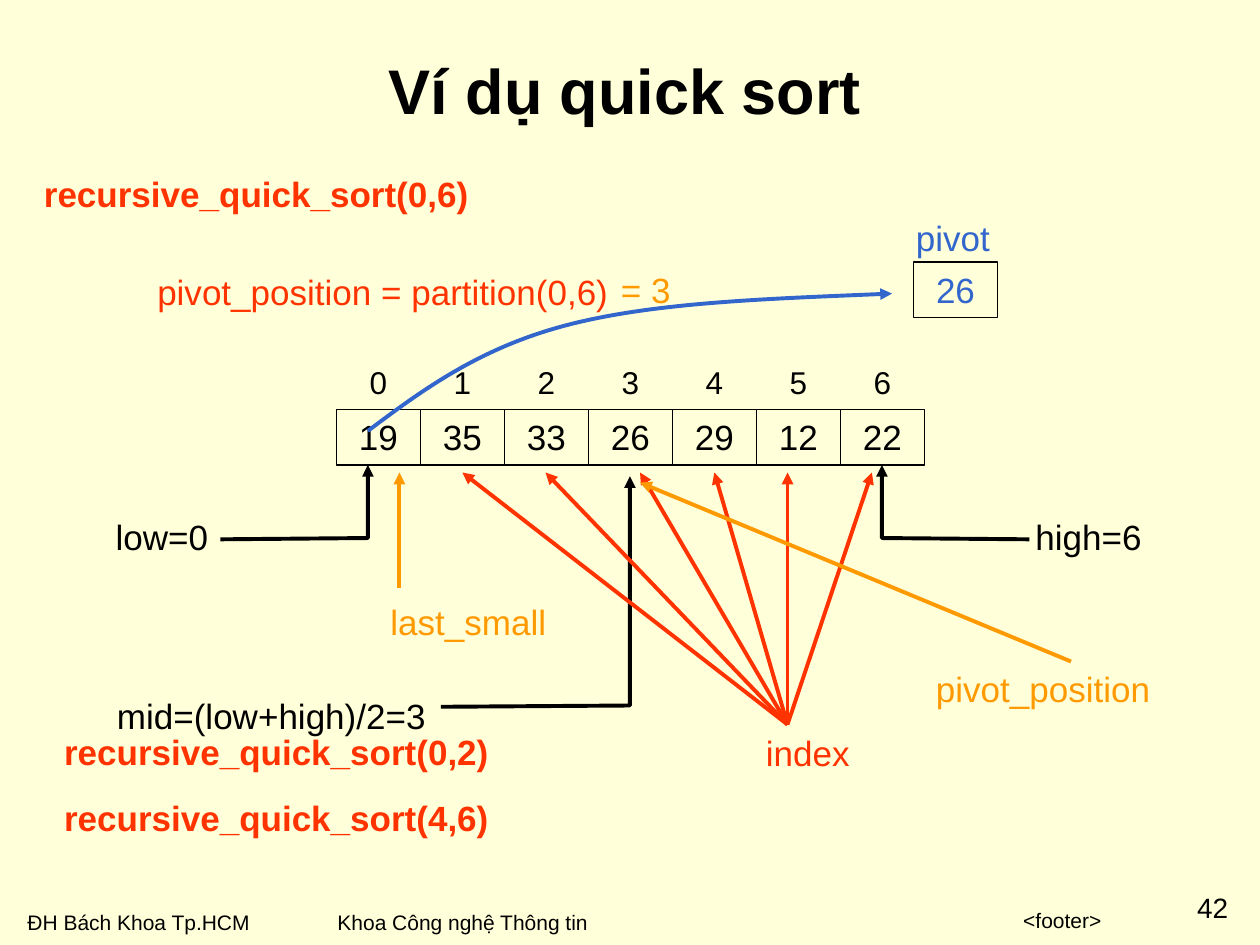
from lxml import etree
from pptx import Presentation
from pptx.dml.color import RGBColor
from pptx.enum.shapes import MSO_CONNECTOR, MSO_SHAPE
from pptx.enum.text import MSO_ANCHOR, MSO_AUTO_SIZE, PP_ALIGN
from pptx.oxml.ns import qn
from pptx.util import Inches, Pt

CREAM = RGBColor(0xFF, 0xFF, 0xD9)
BLACK = RGBColor(0, 0, 0)
RED = RGBColor(0xFF, 0x33, 0)
ORANGE = RGBColor(0xFF, 0x99, 0)
BLUE = RGBColor(0x33, 0x66, 0xCC)
LEFT, CENTER, RIGHT = PP_ALIGN.LEFT, PP_ALIGN.CENTER, PP_ALIGN.RIGHT
TOP, MIDDLE = MSO_ANCHOR.TOP, MSO_ANCHOR.MIDDLE
GROW, FIXED = MSO_AUTO_SIZE.SHAPE_TO_FIT_TEXT, MSO_AUTO_SIZE.NONE
RECT, STRAIGHT = MSO_SHAPE.RECTANGLE, MSO_CONNECTOR.STRAIGHT

CELL_W, CELL_H = 2 / 3, 0.44
ARRAY_X, ARRAY_Y, INDEX_Y = 2.67, 3.25, 2.83


class SlideBuilder:
    font = "Arial"
    arrow_width = Pt(2.25)
    cell_width = Pt(0.75)

    def __init__(self, s):
        self.s = s
        s.background.fill.solid()
        s.background.fill.fore_color.rgb = CREAM

    def fill_text(self, sp, text, size=20, color=BLACK, bold=False, align=LEFT,
                  wrap=False, anchor=TOP, auto_size=GROW, inset=(0.1, 0.05)):
        tf = sp.text_frame
        x, y = map(Inches, inset)
        frame = {"word_wrap": wrap, "auto_size": auto_size,
                 "vertical_anchor": anchor, "margin_left": x,
                 "margin_right": x, "margin_top": y, "margin_bottom": y}
        for name, value in frame.items():
            setattr(tf, name, value)
        p = tf.paragraphs[0]
        p.alignment = align
        r = p.add_run()
        r.text = text
        style = {"name": self.font, "size": Pt(size), "bold": bold}
        for name, value in style.items():
            setattr(r.font, name, value)
        r.font.color.rgb = color

    def text(self, text, x, y, w, h=CELL_H, **style):
        sp = self.s.shapes.add_textbox(*map(Inches, (x, y, w, h)))
        self.fill_text(sp, text, **style)

    def cell(self, text, x, y, color=BLACK):
        sp = self.s.shapes.add_shape(RECT, *map(Inches, (x, y, CELL_W, CELL_H)))
        sp.shadow.inherit = False
        sp.fill.background()
        sp.line.color.rgb = BLACK
        sp.line.width = self.cell_width
        self.fill_text(sp, text, color=color, align=CENTER, wrap=True)

    def style_arrow(self, sp, color):
        sp.line.color.rgb = color
        sp.line.width = self.arrow_width
        ln = sp.element.spPr.find(qn("a:ln"))
        etree.SubElement(ln, qn("a:tailEnd"), type="triangle")

    def arrow(self, start, end, color):
        sp = self.s.shapes.add_connector(STRAIGHT, *map(Inches, start + end))
        self.style_arrow(sp, color)
        etree.SubElement(sp.element.spPr, qn("a:effectLst"))

    def bent_arrow(self, points, color=BLACK):
        start, *rest = [tuple(map(Inches, point)) for point in points]
        builder = self.s.shapes.build_freeform(*start)
        builder.add_line_segments(rest, close=False)
        sp = builder.convert_to_shape()
        sp.shadow.inherit = False
        sp.fill.background()
        self.style_arrow(sp, color)
        return sp

    def curved_arrow(self, points, color):
        sp = self.bent_arrow(points, color)
        outline = next(sp.element.iter(qn("a:path")))
        segments = outline.findall(qn("a:lnTo"))
        for i in range(0, len(segments), 3):
            curve = etree.SubElement(outline, qn("a:cubicBezTo"))
            for segment in segments[i:i + 3]:
                curve.append(segment[0])
                outline.remove(segment)


def main():
    prs = Presentation()
    prs.slide_width, prs.slide_height = Inches(10), Inches(7.5)
    b = SlideBuilder(prs.slides.add_slide(prs.slide_layouts[6]))

    b.text("ĐH Bách Khoa Tp.HCM", 0.12, 7.17, 1.97, 0.3, size=12)
    b.text("<footer>", 3.17, 7.15, 5.67, 0.3, size=12, align=RIGHT, wrap=True)
    b.text("42", 9.41, 7.07, 0.43, 0.27, size=16, align=CENTER, wrap=True,
           inset=(0, 0))
    b.text("Khoa Công nghệ Thông tin", 2.58, 7.17, 2.19, 0.3, size=12)
    b.text("Ví dụ quick sort", 0.92, 0.08, 8.08, 1.25, size=36, bold=True,
           align=CENTER, wrap=True, anchor=MIDDLE, auto_size=FIXED)

    for i, value in enumerate((19, 35, 33, 26, 29, 12, 22)):
        x = ARRAY_X + i * CELL_W
        b.cell(str(value), x, ARRAY_Y)
        b.text(str(i), x, INDEX_Y, CELL_W, 0.4, size=18, align=CENTER, wrap=True)

    b.text("low=0", 0.82, 4.04, 0.96)
    b.bent_arrow([(1.75, 4.28), (2.92, 4.27), (2.92, 3.69)])
    b.text("high=6", 8.12, 4.04, 1.06)
    b.bent_arrow([(8.17, 4.28), (7, 4.27), (7, 3.69)])
    b.text("mid=(low+high)/2=3", 0.83, 5.46, 2.67)
    b.bent_arrow([(3.5, 5.61), (5, 5.6), (5, 3.78)])

    b.text("pivot_position = partition(0,6)", 1.15, 2.1, 3.8, color=RED)
    b.text("= 3", 4.83, 2.08, 0.62, color=ORANGE)
    b.text("pivot", 7.17, 1.67, 0.81, color=BLUE)
    b.text("last_small", 3, 4.72, 1.46, color=ORANGE)
    b.arrow((3.17, 4.67), (3.17, 3.75), ORANGE)

    b.cell("26", 7.25, 2.08, BLUE)
    b.curved_arrow([(2.92, 3.42), (3.36, 3.09), (3.81, 2.76), (4.5, 2.58),
                    (5.19, 2.4), (6.14, 2.37), (7.08, 2.33)], BLUE)

    b.text("index", 5.98, 5.76, 0.89, color=RED)
    for x in (3.67, 4.33, 5.08, 5.67, 6.25, 6.92):
        b.arrow((6.25, 5.75), (x, 3.75), RED)
    b.text("pivot_position", 7.33, 5.25, 1.92, color=ORANGE)
    b.arrow((8.5, 5.25), (5.08, 3.83), ORANGE)

    for bounds, x, y in (("0,6", 0.25, 1.32), ("0,2", 0.41, 5.75),
                         ("4,6", 0.41, 6.27)):
        b.text(f"recursive_quick_sort({bounds})", x, y, 3.59, color=RED, bold=True)

    prs.save("out.pptx")


if __name__ == "__main__":
    main()
